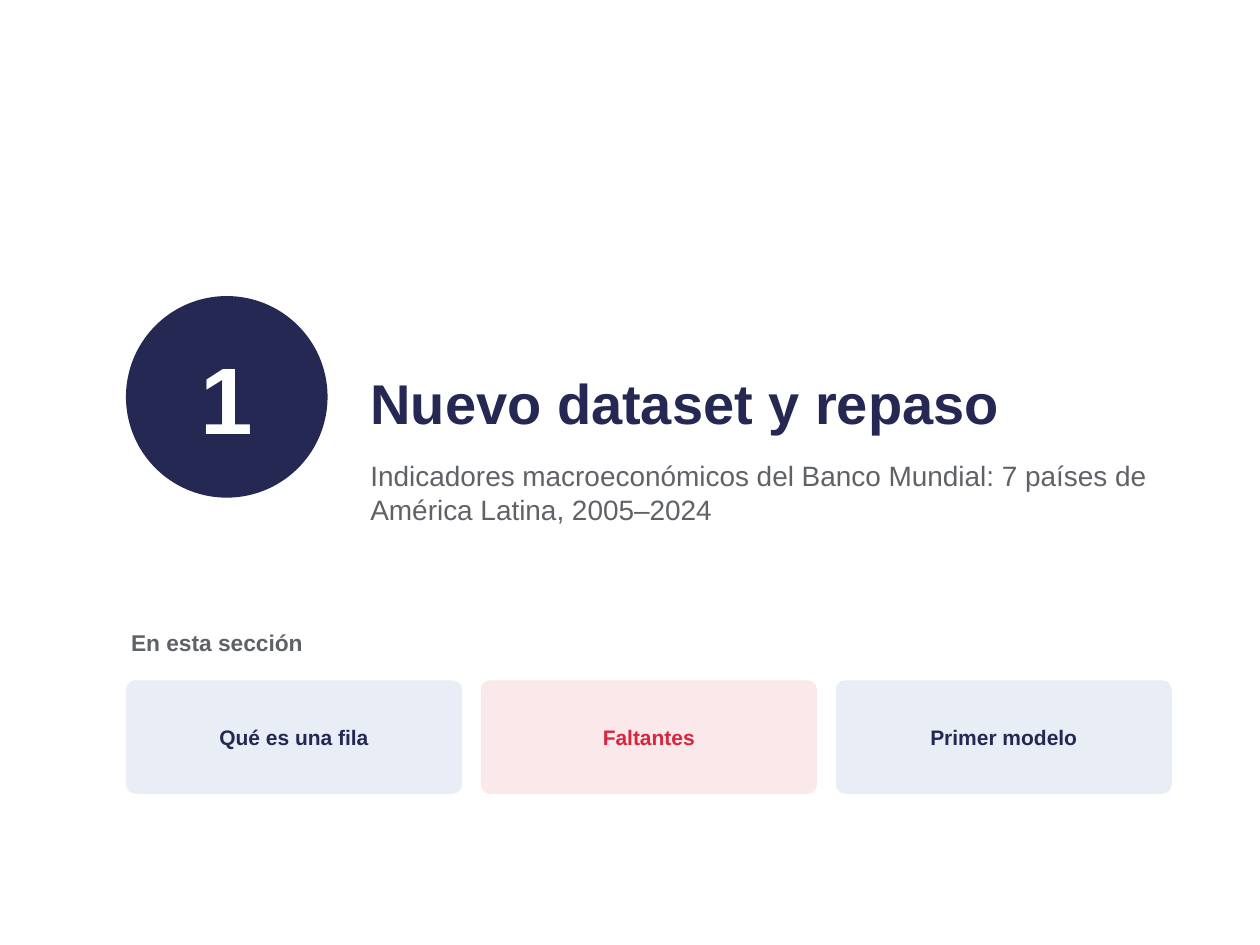
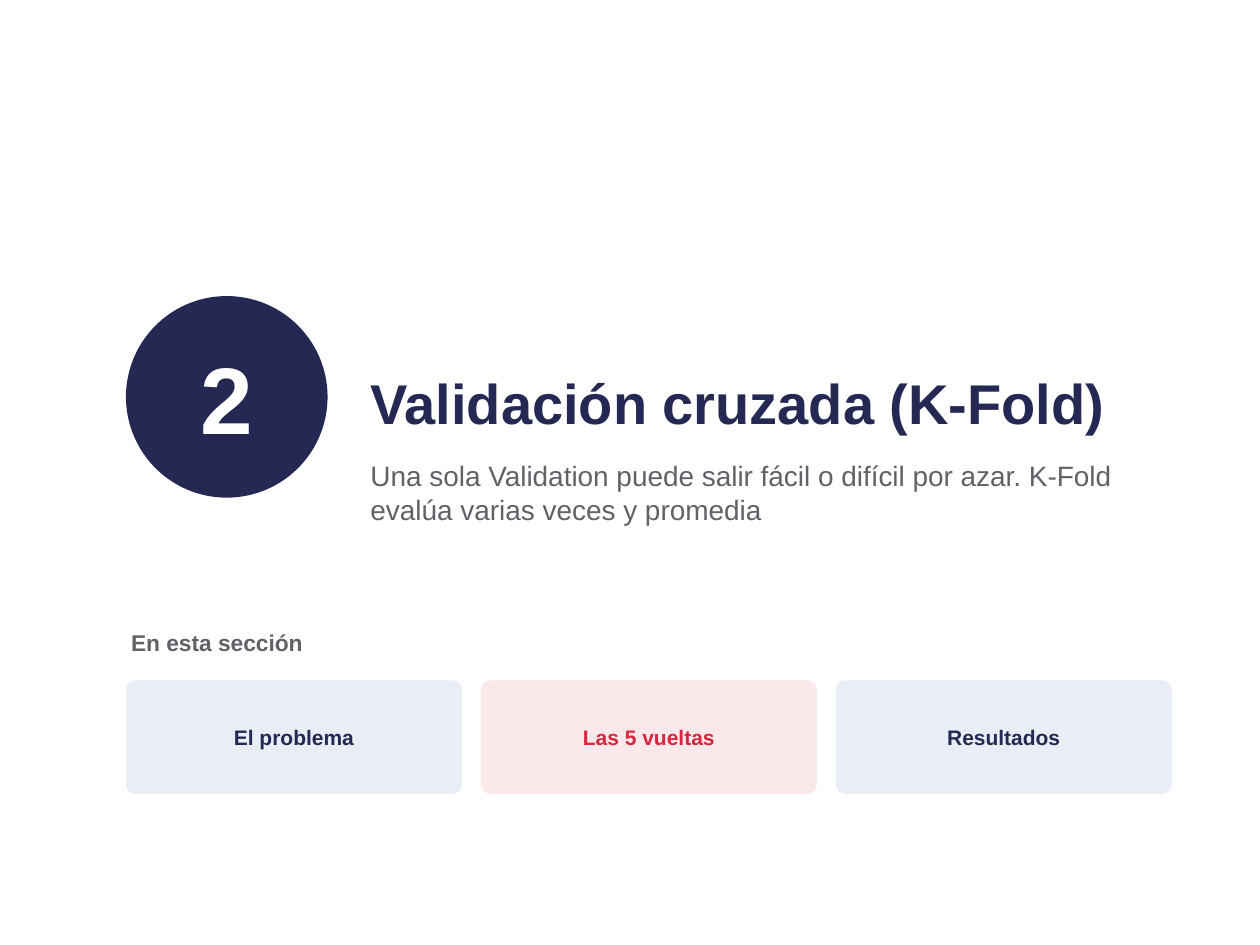
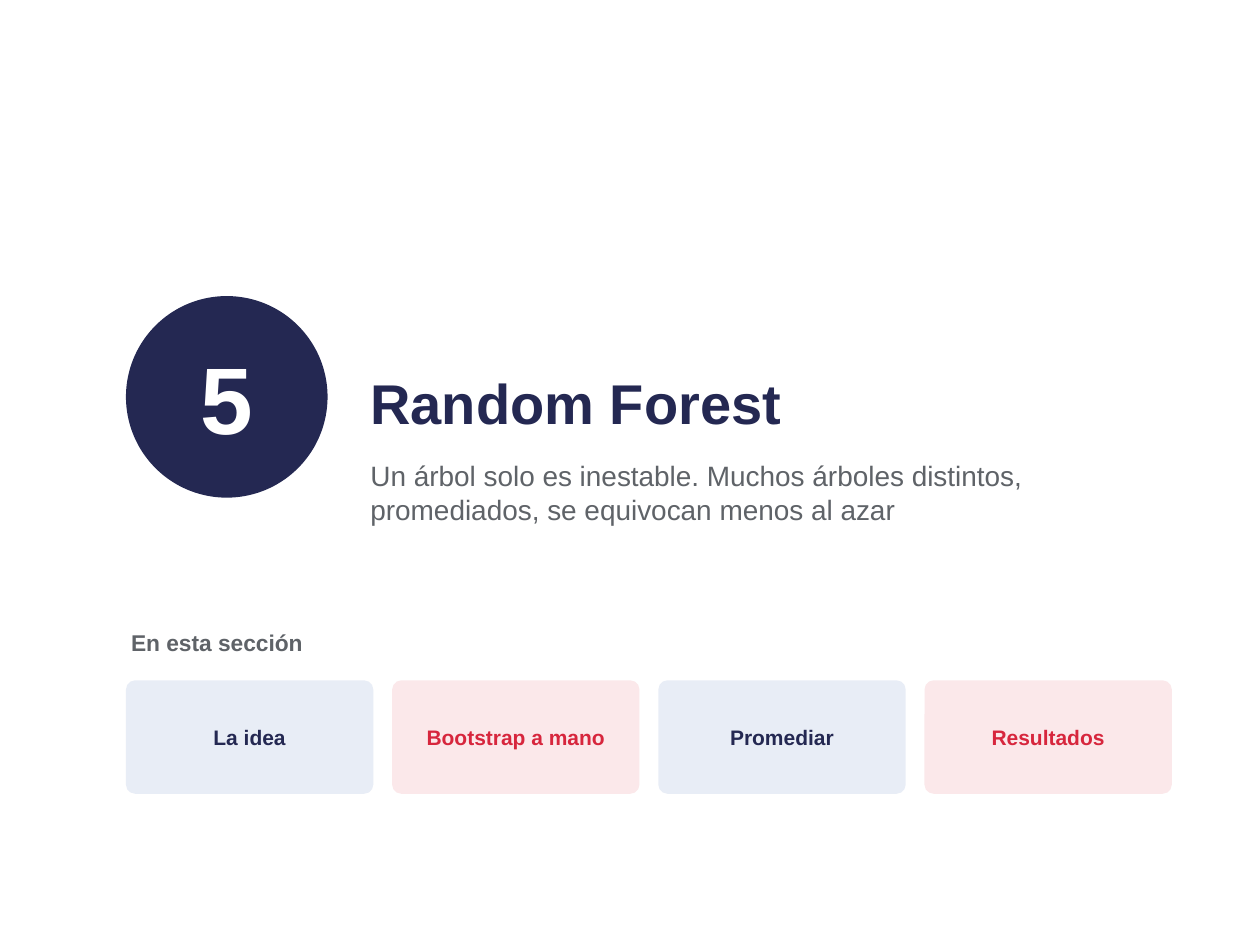
import dataclasses

import pptx
import pptx.dml.color
import pptx.enum.shapes
import pptx.enum.text
import pptx.presentation
import pptx.shapes.autoshape
import pptx.slide
import pptx.util

Inches = pptx.util.Inches
Pt = pptx.util.Pt
Anchor = pptx.enum.text.MSO_ANCHOR
Preset = pptx.enum.shapes.MSO_SHAPE

FONT = "Arial"
COLORS = {
    "navy": "242852",
    "red": "D7263D",
    "gray": "5F6368",
    "white": "FFFFFF",
    "pale_blue": "E8EDF6",
    "pale_red": "FBE8EA",
}
# Topic cards alternate between these (fill, text) pairs.
CARD_STYLES = [("pale_blue", "navy"), ("pale_red", "red")]

LEFT = Inches(1)
CONTENT_WIDTH = Inches(8.3)
HEADING_LEFT = Inches(2.9)
HEADING_WIDTH = LEFT + CONTENT_WIDTH - HEADING_LEFT
CARD_TOP = Inches(5.4)
CARD_HEIGHT = Inches(0.9)
CARD_GAP = Inches(0.15)


@dataclasses.dataclass(frozen=True)
class Section:
    number: int
    title: str
    summary: str
    topics: list[str]


@dataclasses.dataclass(frozen=True)
class Box:
    left: int
    top: int
    width: int
    height: int


@dataclasses.dataclass(frozen=True)
class TextStyle:
    size: int
    color: str
    bold: bool = True


SECTIONS = [
    Section(
        1,
        "Nuevo dataset y repaso",
        "Indicadores macroeconómicos del Banco Mundial: 7 países de América Latina, 2005–2024",
        ["Qué es una fila", "Faltantes", "Primer modelo"],
    ),
    Section(
        2,
        "Validación cruzada (K-Fold)",
        "Una sola Validation puede salir fácil o difícil por azar. K-Fold evalúa varias veces y promedia",
        ["El problema", "Las 5 vueltas", "Resultados"],
    ),
    Section(
        5,
        "Random Forest",
        "Un árbol solo es inestable. Muchos árboles distintos, promediados, se equivocan menos al azar",
        ["La idea", "Bootstrap a mano", "Promediar", "Resultados"],
    ),
]

LABEL_BOX = Box(LEFT, Inches(4.95), CONTENT_WIDTH, Inches(0.4))
NUMBER_BOX = Box(LEFT, Inches(2.35), Inches(1.6), Inches(1.6))
TITLE_BOX = Box(HEADING_LEFT, Inches(2), HEADING_WIDTH, Inches(1.5))
SUMMARY_BOX = Box(HEADING_LEFT, Inches(3.6), HEADING_WIDTH, Inches(1.2))


def rgb(name: str) -> pptx.dml.color.RGBColor:
    return pptx.dml.color.RGBColor.from_string(COLORS[name])


def write(
    shape: pptx.shapes.autoshape.Shape,
    text: str,
    style: TextStyle,
    inset: float,
    space_after: int,
    anchor: Anchor,
) -> None:
    """Fill a shape with one paragraph, with equal insets on all sides."""
    frame = shape.text_frame
    frame.text = text
    frame.word_wrap = True
    frame.vertical_anchor = anchor
    frame.margin_left = frame.margin_right = Inches(inset)
    frame.margin_top = frame.margin_bottom = Inches(inset)
    paragraph = frame.paragraphs[0]
    paragraph.space_after = Pt(space_after)
    font = paragraph.runs[0].font
    font.name = FONT
    font.size = Pt(style.size)
    font.bold = style.bold
    font.color.rgb = rgb(style.color)


def add_text(
    slide: pptx.slide.Slide, box: Box, text: str, style: TextStyle, anchor: Anchor = Anchor.TOP
) -> None:
    textbox = slide.shapes.add_textbox(box.left, box.top, box.width, box.height)
    write(textbox, text, style, 0.04, 4, anchor)
    textbox.text_frame.auto_size = pptx.enum.text.MSO_AUTO_SIZE.SHAPE_TO_FIT_TEXT


def add_filled_shape(
    slide: pptx.slide.Slide, preset: Preset, box: Box, fill: str, text: str, style: TextStyle
) -> pptx.shapes.autoshape.Shape:
    shape = slide.shapes.add_shape(preset, box.left, box.top, box.width, box.height)
    shape.shadow.inherit = False
    shape.fill.solid()
    shape.fill.fore_color.rgb = rgb(fill)
    shape.line.fill.background()
    write(shape, text, style, 0.08, 3, Anchor.MIDDLE)
    shape.text_frame.paragraphs[0].alignment = pptx.enum.text.PP_ALIGN.CENTER
    return shape


def add_topic_cards(slide: pptx.slide.Slide, topics: list[str]) -> None:
    """Share the content width equally among the topics."""
    width = (CONTENT_WIDTH - CARD_GAP * (len(topics) - 1)) // len(topics)
    for index, topic in enumerate(topics):
        fill, color = CARD_STYLES[index % len(CARD_STYLES)]
        box = Box(LEFT + index * (width + CARD_GAP), CARD_TOP, width, CARD_HEIGHT)
        card = add_filled_shape(
            slide, Preset.ROUNDED_RECTANGLE, box, fill, topic, TextStyle(12, color)
        )
        card.adjustments[0] = 0.08


def add_section_slide(deck: pptx.presentation.Presentation, section: Section) -> None:
    slide = deck.slides.add_slide(deck.slide_layouts[6])
    add_text(slide, LABEL_BOX, "En esta sección", TextStyle(13, "gray"))
    add_topic_cards(slide, section.topics)
    add_filled_shape(
        slide, Preset.OVAL, NUMBER_BOX, "navy", str(section.number), TextStyle(54, "white")
    )
    add_text(slide, TITLE_BOX, section.title, TextStyle(32, "navy"), Anchor.BOTTOM)
    add_text(slide, SUMMARY_BOX, section.summary, TextStyle(16, "gray", bold=False))


def main() -> None:
    deck = pptx.Presentation()
    deck.slide_width = Inches(10)
    deck.slide_height = Inches(7.5)
    for section in SECTIONS:
        add_section_slide(deck, section)
    deck.save("out.pptx")


if __name__ == "__main__":
    main()
